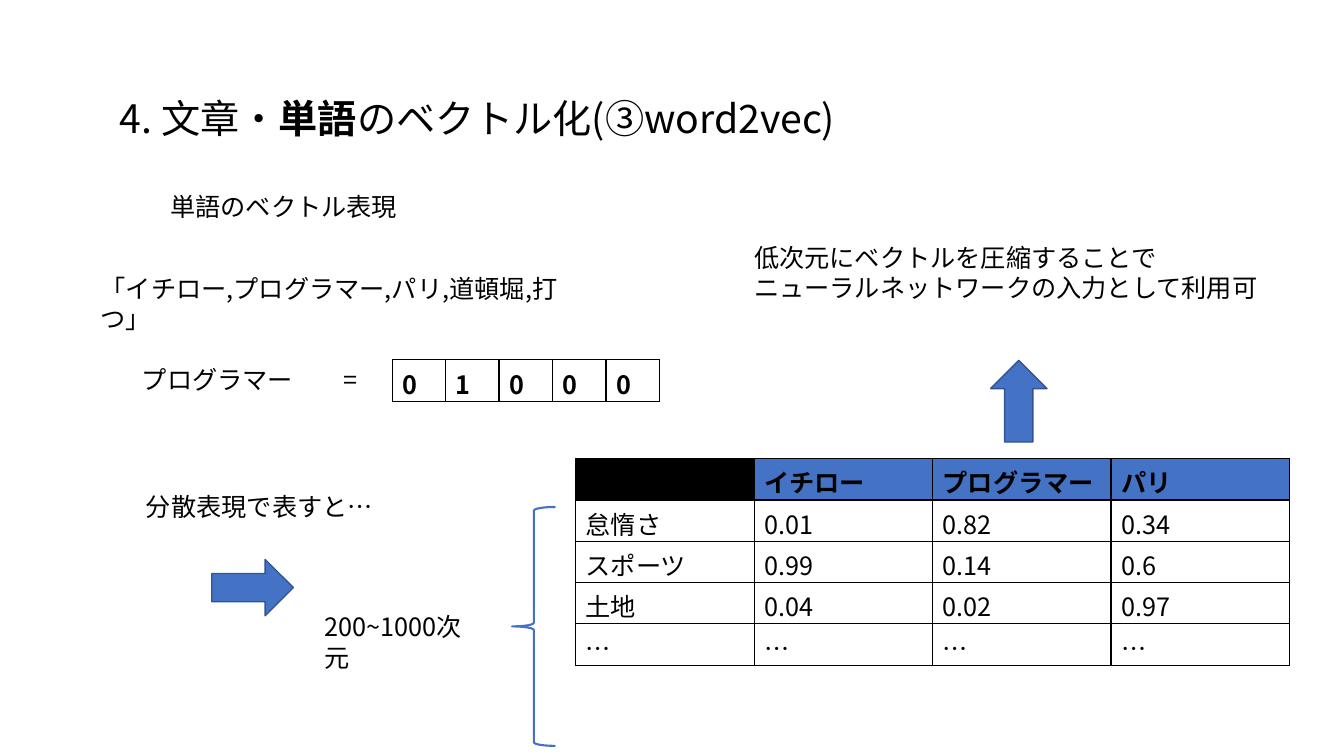
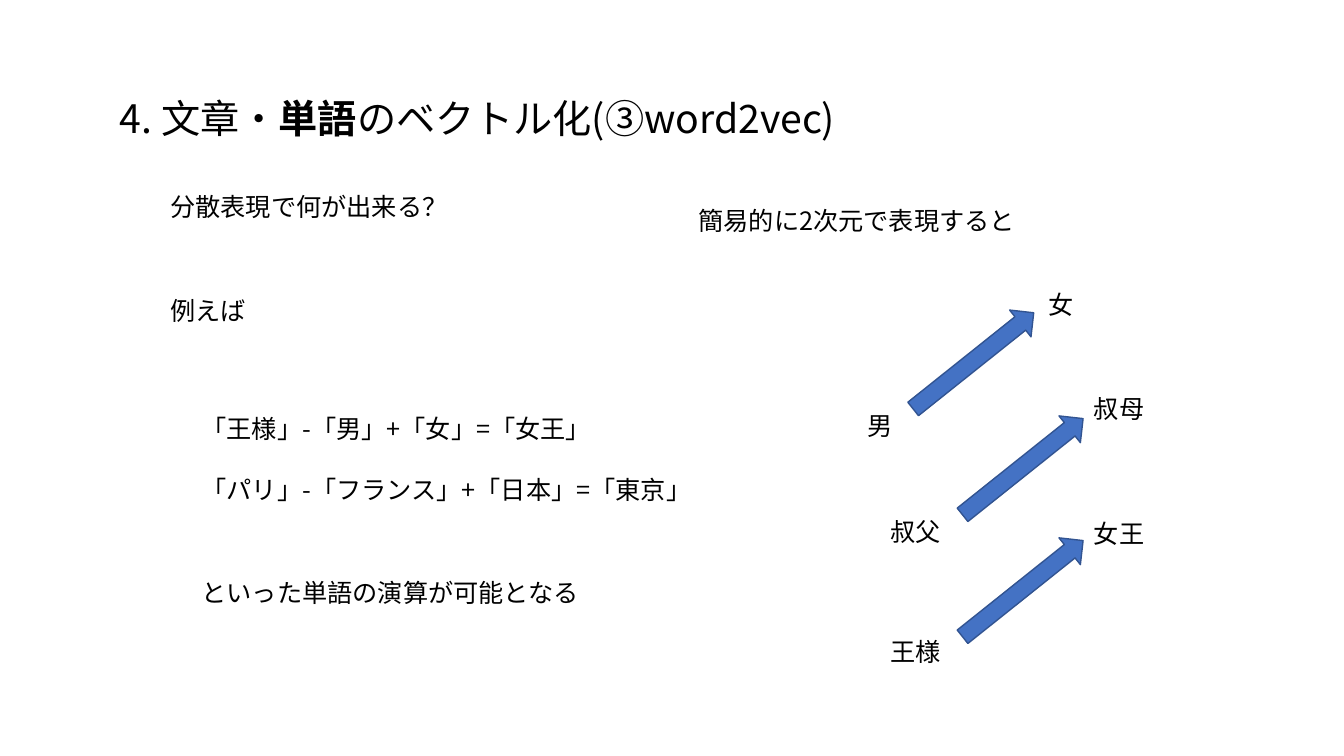
from lxml.etree import SubElement
from pptx import Presentation
from pptx.dml.color import RGBColor
from pptx.enum.shapes import MSO_SHAPE
from pptx.oxml.ns import qn
from pptx.util import Inches, Pt

FONT = "Noto Sans CJK JP"
BLACK = RGBColor(0x00, 0x00, 0x00)
WHITE = RGBColor(0xFF, 0xFF, 0xFF)
BLUE = RGBColor(0x44, 0x72, 0xC4)
DARK_BLUE = RGBColor(0x32, 0x54, 0x91)
TITLE = [("4. 文章・", False), ("単語", True), ("のベクトル化(③word2vec)", False)]
ROW_HEIGHT = 0.41


class Deck:
    """Holds the shared style and draws onto the current slide."""

    def __init__(self):
        self.deck = Presentation()
        self.deck.slide_width, self.deck.slide_height = Inches(13.33), Inches(7.5)
        self.page = None

    def add_page(self):
        self.page = self.deck.slides.add_slide(self.deck.slide_layouts[6])
        self.text(1.09, 0.89, 7.38, [TITLE], size=28, height=0.57)

    def span(self, para, text, size=18, bold=False):
        span = para.add_run()
        span.text = text
        for name, value in {"name": FONT, "size": Pt(size), "bold": bold}.items():
            setattr(span.font, name, value)
        span.font.color.rgb = BLACK
        SubElement(span.font._element, qn("a:ea"), typeface=FONT)

    def text(self, left, top, width, lines, size=18, height=0.4):
        box = self.page.shapes.add_textbox(*map(Inches, (left, top, width, height)))
        frame = box.text_frame
        frame.word_wrap = True
        for index, line in enumerate(lines):
            para = frame.add_paragraph() if index else frame.paragraphs[0]
            for text, bold in [(line, False)] if isinstance(line, str) else line:
                self.span(para, text, size, bold)

    def shape(self, kind, left, top, width, height, line=DARK_BLUE, weight=1, rotation=0):
        shape = self.page.shapes.add_shape(kind, *map(Inches, (left, top, width, height)))
        shape.shadow.inherit = False
        shape.rotation = rotation
        shape.line.color.rgb = line
        shape.line.width = Pt(weight)
        return shape

    def arrow(self, left, top, width, height, rotation=0):
        arrow = self.shape(MSO_SHAPE.RIGHT_ARROW, left, top, width, height, rotation=rotation)
        arrow.fill.solid()
        arrow.fill.fore_color.rgb = BLUE

    def brace(self, left, top, width, height):
        brace = self.shape(MSO_SHAPE.LEFT_BRACE, left, top, width, height, BLUE, 1.5)
        brace.fill.background()

    def borders(self, cell):
        properties = cell._tc.get_or_add_tcPr()
        for position, side in enumerate(("a:lnL", "a:lnR", "a:lnT", "a:lnB")):
            edge = properties.makeelement(qn(side), {"w": str(Pt(1))})
            SubElement(SubElement(edge, qn("a:solidFill")), qn("a:srgbClr"), val=str(BLACK))
            properties.insert(position, edge)

    def table(self, left, top, column_width, rows, header_fill):
        size = column_width * len(rows[0]), ROW_HEIGHT * len(rows)
        frame = self.page.shapes.add_table(
            len(rows), len(rows[0]), *map(Inches, (left, top, *size)))
        table = frame.table
        table.first_row = table.horz_banding = False
        for row, values in enumerate(rows):
            for column, value in enumerate(values):
                cell = table.cell(row, column)
                cell.fill.solid()
                fill = WHITE if row else header_fill if value else BLACK
                cell.fill.fore_color.rgb = fill
                self.borders(cell)
                if value:
                    self.span(cell.text_frame.paragraphs[0], value, bold=row == 0)


def one_hot_and_distributed(slides):
    slides.add_page()
    for left, top, width, lines in [
        (1.59, 1.85, 2.47, ["単語のベクトル表現"]),
        (0.9, 2.66, 5.22, ["「イチロー,プログラマー,パリ,道頓堀,打つ」"]),
        (1.31, 3.57, 2.37, ["プログラマー \t="]),
        (1.35, 4.83, 2.47, ["分散表現で表すと…"]),
        (3.12, 6.02, 1.74, ["200~1000次元"]),
        (7.38, 2.35, 5.25, ["低次元にベクトルを圧縮することで",
                            "ニューラルネットワークの入力として利用可"]),
    ]:
        slides.text(left, top, width, lines)
    slides.table(3.89, 3.57, 0.53, [list("01000")], WHITE)
    slides.table(5.71, 4.55, 1.77, [
        ["", "イチロー", "プログラマー", "パリ"],
        ["怠惰さ", "0.01", "0.82", "0.34"],
        ["スポーツ", "0.99", "0.14", "0.6"],
        ["土地", "0.04", "0.02", "0.97"],
        ["…"] * 4,
    ], BLUE)
    slides.arrow(2.1, 5.55, 0.81, 0.56)
    slides.arrow(9.7, 3.7, 0.81, 0.56, rotation=270)
    slides.brace(5.08, 5.03, 0.43, 2.37)


def word_arithmetic(slides):
    slides.add_page()
    for left, top, width, line in [
        (1.59, 1.85, 2.98, "分散表現で何が出来る？"),
        (1.59, 2.88, 0.96, "例えば"),
        (1.9, 4.05, 4.11, "「王様」-「男」+「女」=「女王」"),
        (1.9, 4.66, 5.12, "「パリ」-「フランス」+「日本」=「東京」"),
        (1.9, 5.68, 3.99, "といった単語の演算が可能となる"),
        (6.83, 1.99, 3.36, "簡易的に2次元で表現すると"),
        (8.51, 4.02, 0.45, "男"),
        (8.73, 5.07, 0.71, "叔父"),
        (8.73, 6.26, 0.71, "王様"),
        (10.3, 2.82, 0.45, "女"),
        (10.75, 3.85, 0.71, "叔母"),
        (10.75, 5.09, 0.71, "女王"),
    ]:
        slides.text(left, top, width, [line])
    for left, top in [(8.89, 3.41), (9.38, 4.46), (9.38, 5.67)]:
        slides.arrow(left, top, 1.53, 0.34, rotation=321.4)


def main():
    slides = Deck()
    one_hot_and_distributed(slides)
    word_arithmetic(slides)
    slides.deck.save("out.pptx")


if __name__ == "__main__":
    main()
